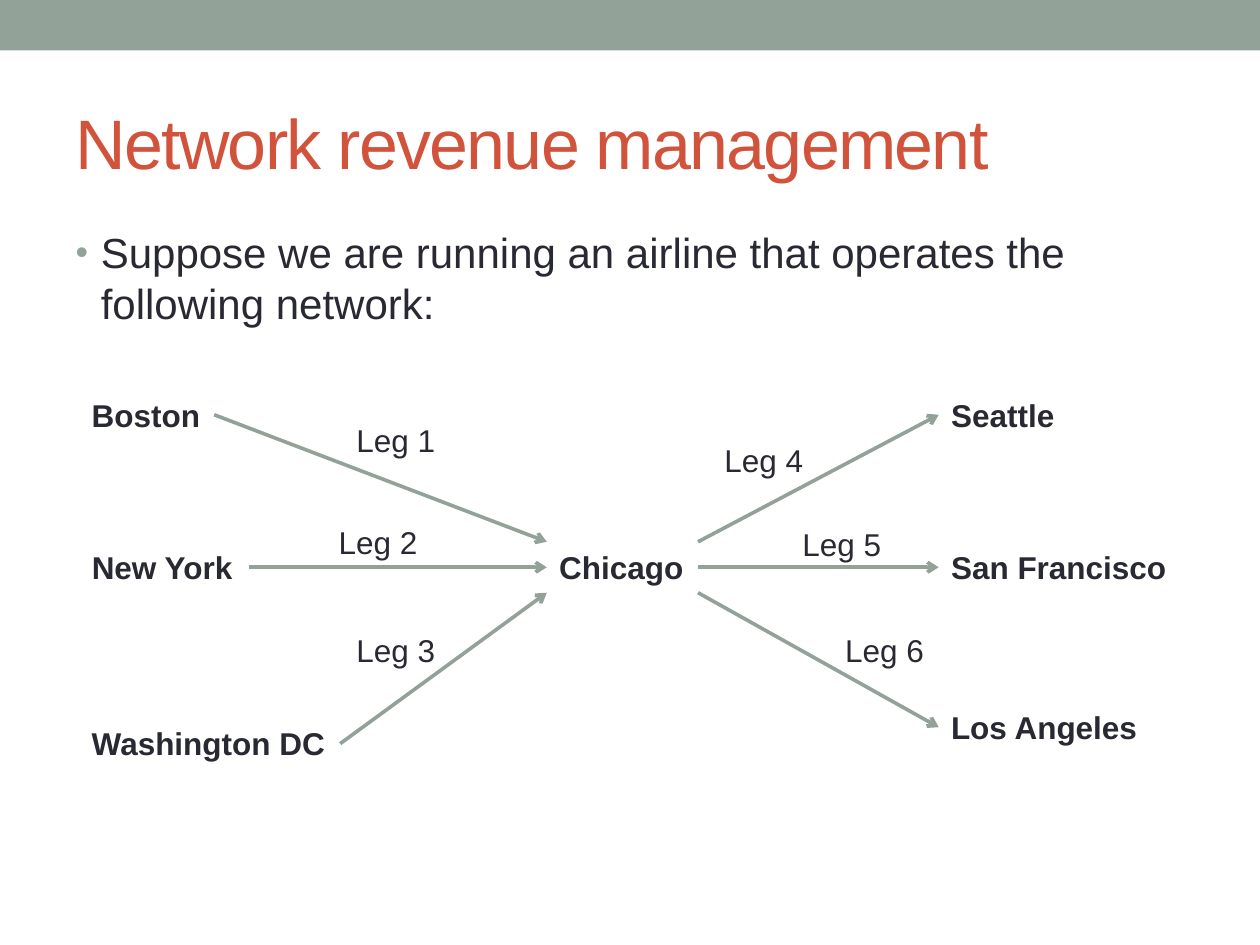
from dataclasses import dataclass
from typing import Any

from lxml import etree
from pptx import Presentation
from pptx.dml.color import RGBColor
from pptx.enum.shapes import MSO_CONNECTOR, MSO_SHAPE
from pptx.enum.text import MSO_ANCHOR, MSO_AUTO_SIZE, PP_ALIGN
from pptx.oxml.ns import qn
from pptx.util import Inches, Pt

RECT = MSO_SHAPE.RECTANGLE
STRAIGHT = MSO_CONNECTOR.STRAIGHT
TOP, MIDDLE = MSO_ANCHOR.TOP, MSO_ANCHOR.MIDDLE
GROW, FIXED = MSO_AUTO_SIZE.SHAPE_TO_FIT_TEXT, MSO_AUTO_SIZE.NONE
LEFT = PP_ALIGN.LEFT

WIDE, HIGH = Inches(10), Inches(7.5)
COLS, ROWS = 100, 75
LINE = 4.04


@dataclass(frozen=True)
class Theme:
    font: str = "Arial"
    ink: str = "292934"
    red: str = "D2533C"
    sage: str = "93A299"
    head: int = 40
    body: int = 24
    label: int = 18
    stroke: float = 2.08


@dataclass(frozen=True)
class Box:
    col: float
    row: float
    wide: float
    high: float = LINE

    @property
    def right(self) -> float:
        return self.col + self.wide

    def down(self, share: float) -> float:
        return self.row + share * self.high


@dataclass(frozen=True)
class City:
    name: str
    box: Box


@dataclass(frozen=True)
class Leg:
    city: City
    port: float
    inward: bool
    col: float
    row: float


THEME = Theme()
WEST, EAST = 6.3, 74.5
NORTH, MID = 30.9, 43
HUB = City("Chicago", Box(43.4, MID, 12))
LEGS = [
    Leg(City("Boston", Box(WEST, NORTH, 10.7)), 0, True, 27.3, 32.9),
    Leg(City("New York", Box(WEST, MID, 13.5)), 0.5, True, 25.9, 41),
    Leg(City("Washington DC", Box(WEST, 57, 20.7)), 1, True, 27.3, 49.6),
    Leg(City("Seattle", Box(EAST, NORTH, 10.3)), 0, False, 56.5, 34.5),
    Leg(City("San Francisco", Box(EAST, MID, 19.3)), 0.5, False, 62.7, 41.2),
    Leg(City("Los Angeles", Box(EAST, 55.7, 17)), 1, False, 66.1, 49.6),
]


def across(col: float) -> int:
    return round(WIDE * col / COLS)


def down(row: float) -> int:
    return round(HIGH * row / ROWS)


def place(box: Box) -> dict[str, int]:
    return {"left": across(box.col), "top": down(box.row),
            "width": across(box.wide), "height": down(box.high)}


def apply(item: Any, values: dict[str, Any]) -> None:
    for key, value in values.items():
        setattr(item, key, value)


def write(shape: Any, text: str, size: int, tint: str, frame: dict[str, Any],
          bold: bool = False) -> Any:
    apply(shape.text_frame, frame)
    para = shape.text_frame.paragraphs[0]
    para.alignment = LEFT
    run = para.add_run()
    run.text = text
    apply(run.font, {"name": THEME.font, "size": Pt(size), "bold": bold})
    run.font.color.rgb = RGBColor.from_string(tint)
    return para


def label(slide: Any, text: str, box: Box, bold: bool = False) -> None:
    shape = slide.shapes.add_textbox(*place(box).values())
    write(shape, text, THEME.label, THEME.ink,
          {"word_wrap": False, "auto_size": GROW}, bold)


def arrow(slide: Any, start: tuple[float, float],
          end: tuple[float, float]) -> None:
    line = slide.shapes.add_connector(
        STRAIGHT, across(start[0]), down(start[1]), across(end[0]), down(end[1]))
    line.line.color.rgb = RGBColor.from_string(THEME.sage)
    line.line.width = Pt(THEME.stroke)
    etree.SubElement(line.line._get_or_add_ln(), qn("a:tailEnd"), type="arrow")
    etree.SubElement(line._element.spPr, qn("a:effectLst"))


def route(slide: Any, leg: Leg) -> None:
    box, hub = leg.city.box, HUB.box
    level, port = box.down(0.5), hub.down(leg.port)
    if leg.inward:
        arrow(slide, (box.right, level), (hub.col, port))
    else:
        arrow(slide, (hub.right, port), (box.col, level))


def bullet(para: Any) -> None:
    props = para._p.get_or_add_pPr()
    for key, value in {"marL": Inches(0.2), "indent": Inches(-0.2)}.items():
        props.set(key, str(value))
    tint = etree.SubElement(props, qn("a:buClr"))
    etree.SubElement(tint, qn("a:srgbClr"), val=THEME.sage)
    etree.SubElement(props, qn("a:buSzPct"), val="85000")
    etree.SubElement(props, qn("a:buFont"), typeface=THEME.font)
    etree.SubElement(props, qn("a:buChar"), char="•")


def header(slide: Any) -> None:
    bar = slide.shapes.add_shape(RECT, *place(Box(0, 0, COLS, 4)).values())
    bar.shadow.inherit = False
    bar.fill.solid()
    bar.fill.fore_color.rgb = RGBColor.from_string(THEME.sage)
    bar.line.fill.background()

    title, body = slide.placeholders
    apply(title, place(Box(5, 5.8, 90, 10.8)))
    para = write(title, "Network revenue management", THEME.head, THEME.red,
                 {"vertical_anchor": MIDDLE, "auto_size": FIXED})
    para.runs[0]._r.get_or_add_rPr().set("spc", "-100")

    apply(body, place(Box(5, 17.5, 90, 10.1)))
    para = write(body, "Suppose we are running an airline that operates the "
                 "following network:", THEME.body, THEME.ink,
                 {"vertical_anchor": TOP, "auto_size": FIXED})
    bullet(para)


def main() -> None:
    deck = Presentation()
    apply(deck, {"slide_width": WIDE, "slide_height": HIGH})
    slide = deck.slides.add_slide(deck.slide_layouts[1])
    header(slide)
    for city in [HUB, *(leg.city for leg in LEGS)]:
        label(slide, city.name, city.box, True)
    for leg in LEGS:
        route(slide, leg)
    for count, leg in enumerate(LEGS, 1):
        label(slide, f"Leg {count}", Box(leg.col, leg.row, 8.3))
    deck.save("out.pptx")


if __name__ == "__main__":
    main()
